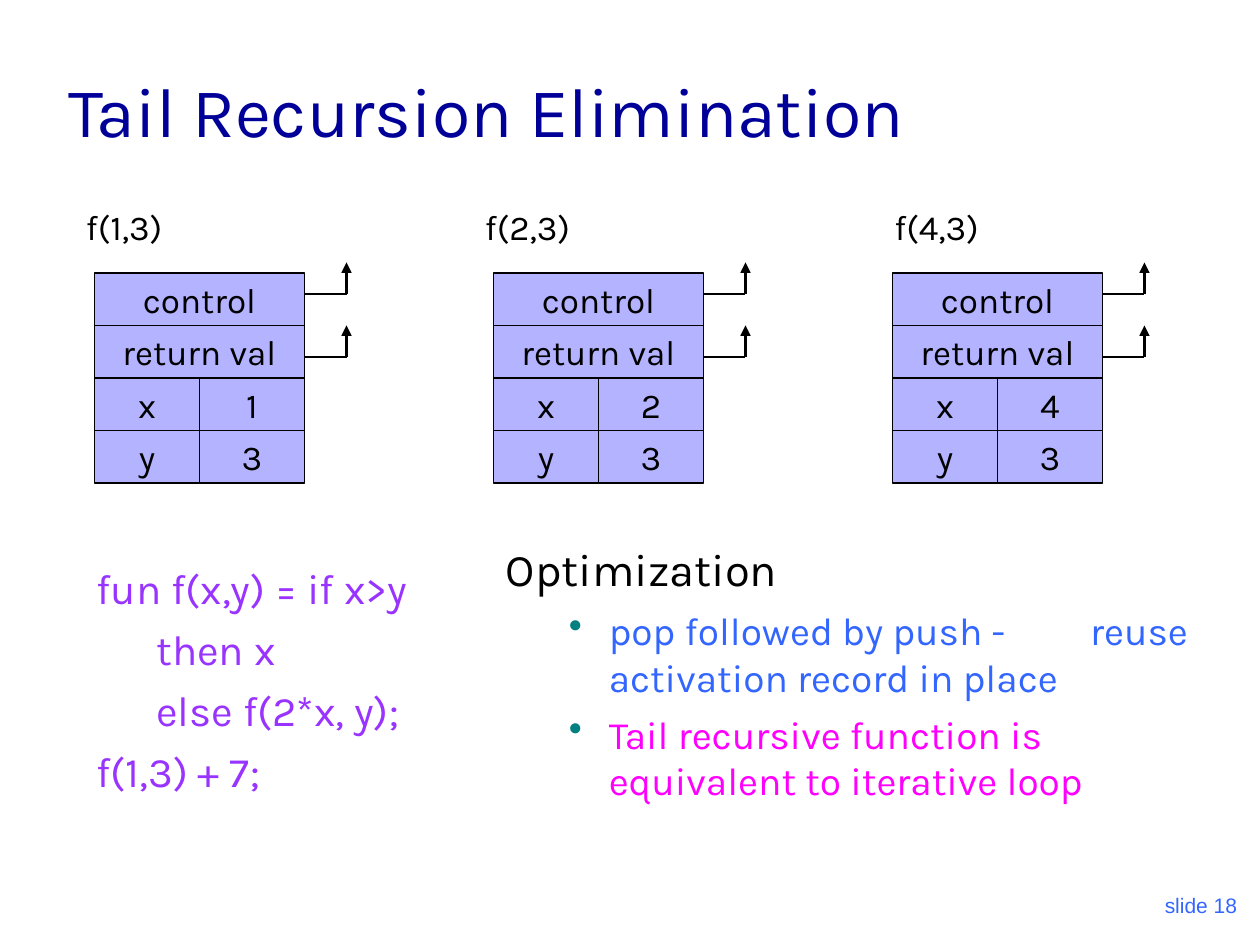
from lxml import etree
from pptx import Presentation
from pptx import util as u
from pptx.dml.color import RGBColor
from pptx.enum import shapes, text
from pptx.oxml.ns import qn

PX = u.Inches(1) // 120
BLACK = RGBColor(0x00, 0x00, 0x00)
NAVY = RGBColor(0x00, 0x00, 0x99)
BLUE = RGBColor(0x33, 0x66, 0xFF)
MAGENTA = RGBColor(0xFF, 0x00, 0xFF)
PURPLE = RGBColor(0x99, 0x33, 0xFF)
LILAC = RGBColor(0xB3, 0xB3, 0xFF)
TEAL = "008080"

presentation = Presentation()
presentation.slide_width = 1200 * PX
presentation.slide_height = 900 * PX
slide = presentation.slides.add_slide(presentation.slide_layouts[6])


def add_run(paragraph, words, size, color, font="Karla"):
    run = paragraph.add_run()
    run.text = words
    run.font.size = u.Pt(size)
    run.font.name = font
    run.font.color.rgb = color
    return run


def add_box(left, top, width, height, anchor=text.MSO_ANCHOR.TOP):
    """Add a wrapping text box and return its text frame."""
    box = slide.shapes.add_textbox(left * PX, top * PX, width * PX, height * PX)
    frame = box.text_frame
    frame.word_wrap = True
    frame.vertical_anchor = anchor
    return frame


# Slide number and title
paragraph = add_box(940, 820, 250, 60, text.MSO_ANCHOR.BOTTOM).paragraphs[0]
paragraph.alignment = text.PP_ALIGN.RIGHT
paragraph.space_before = u.Pt(7.5)
add_run(paragraph, "slide 18", 12, BLUE, "Arial")

title = add_box(53, 30, 1087, 120, text.MSO_ANCHOR.BOTTOM)
add_run(title.paragraphs[0], "Tail Recursion Elimination", 40, NAVY)

# Activation records: left edge, label left edge, value of x
RECORD_TOP, RECORD_WIDTH, ROW_HEIGHT = 260, 200, 50
for left, label_left, x in [(90, 70, 1), (470, 450, 2), (850, 840, 4)]:
    label = add_box(label_left, 190, 150, 53)
    label.auto_size = text.MSO_AUTO_SIZE.SHAPE_TO_FIT_TEXT
    label.paragraphs[0].space_before = u.Pt(12.5)
    add_run(label.paragraphs[0], f"f({x},3)", 20, BLACK)

    rows = [["control"], ["return val"], ["x", str(x)], ["y", "3"]]
    for row, cells in enumerate(rows):
        width = RECORD_WIDTH // len(cells)
        for column, words in enumerate(cells):
            cell = slide.shapes.add_shape(
                shapes.MSO_SHAPE.RECTANGLE,
                (left + column * width) * PX, (RECORD_TOP + row * ROW_HEIGHT) * PX,
                width * PX, ROW_HEIGHT * PX)
            cell.shadow.inherit = False
            cell.fill.solid()
            cell.fill.fore_color.rgb = LILAC
            cell.line.color.rgb = BLACK
            cell.line.width = u.Pt(0.75)
            cell.text_frame.word_wrap = False
            cell.text_frame.vertical_anchor = text.MSO_ANCHOR.MIDDLE
            paragraph = cell.text_frame.paragraphs[0]
            paragraph.alignment = text.PP_ALIGN.CENTER
            add_run(paragraph, words, 20, BLACK)

    # Each link leaves the record sideways, then points up
    start = left + RECORD_WIDTH
    bend = start + 40
    for y, tip in [(280, 250), (340, 310)]:
        for x1, y1, x2, y2 in [(start, y, bend, y), (bend, y, bend, tip)]:
            link = slide.shapes.add_connector(
                shapes.MSO_CONNECTOR.STRAIGHT, x1 * PX, y1 * PX, x2 * PX, y2 * PX)
            link.line.color.rgb = BLACK
            link.line.width = u.Pt(1.5)
            if y2 < y1:
                etree.SubElement(link.line._get_or_add_ln(), qn("a:tailEnd"), type="triangle")
            etree.SubElement(link._element.spPr, qn("a:effectLst"))

# Optimization notes
notes = add_box(470, 510, 700, 300)
heading = notes.paragraphs[0]
heading.space_before = u.Pt(7)
add_run(heading, "Optimization", 25.9, BLACK)

bullets = [
    (["pop followed by push -", " ", "reuse activation record in place"], BLUE),
    (["Tail recursive function is equivalent to iterative loop"], MAGENTA),
]
for pieces, color in bullets:
    paragraph = notes.add_paragraph()
    paragraph.level = 1
    paragraph.space_before = u.Pt(6)
    properties = paragraph._p.get_or_add_pPr()
    properties.set("marL", str(98 * PX))
    properties.set("indent", str(-38 * PX))
    bullet_color = etree.SubElement(properties, qn("a:buClr"))
    etree.SubElement(bullet_color, qn("a:srgbClr"), val=TEAL)
    etree.SubElement(properties, qn("a:buChar"), char="•")
    for piece in pieces:
        run = add_run(paragraph, piece, 22.2, color)
        if piece == " ":
            run.font._element.set("spc", "4300")  # wide gap before "reuse"

# Code sample
code = add_box(20, 530, 460, 280)
lines = [("fun f(x,y) = if x>y", 60), ("then x", 117), ("else f(2*x, y);", 117), ("f(1,3) + 7;", 60)]
for index, (words, margin) in enumerate(lines):
    paragraph = code.add_paragraph() if index else code.paragraphs[0]
    paragraph.level = 1
    paragraph.space_before = u.Pt(6)
    properties = paragraph._p.get_or_add_pPr()
    properties.set("marL", str(margin * PX))
    properties.set("indent", "0")
    add_run(paragraph, words, 24, PURPLE)

presentation.save("out.pptx")
